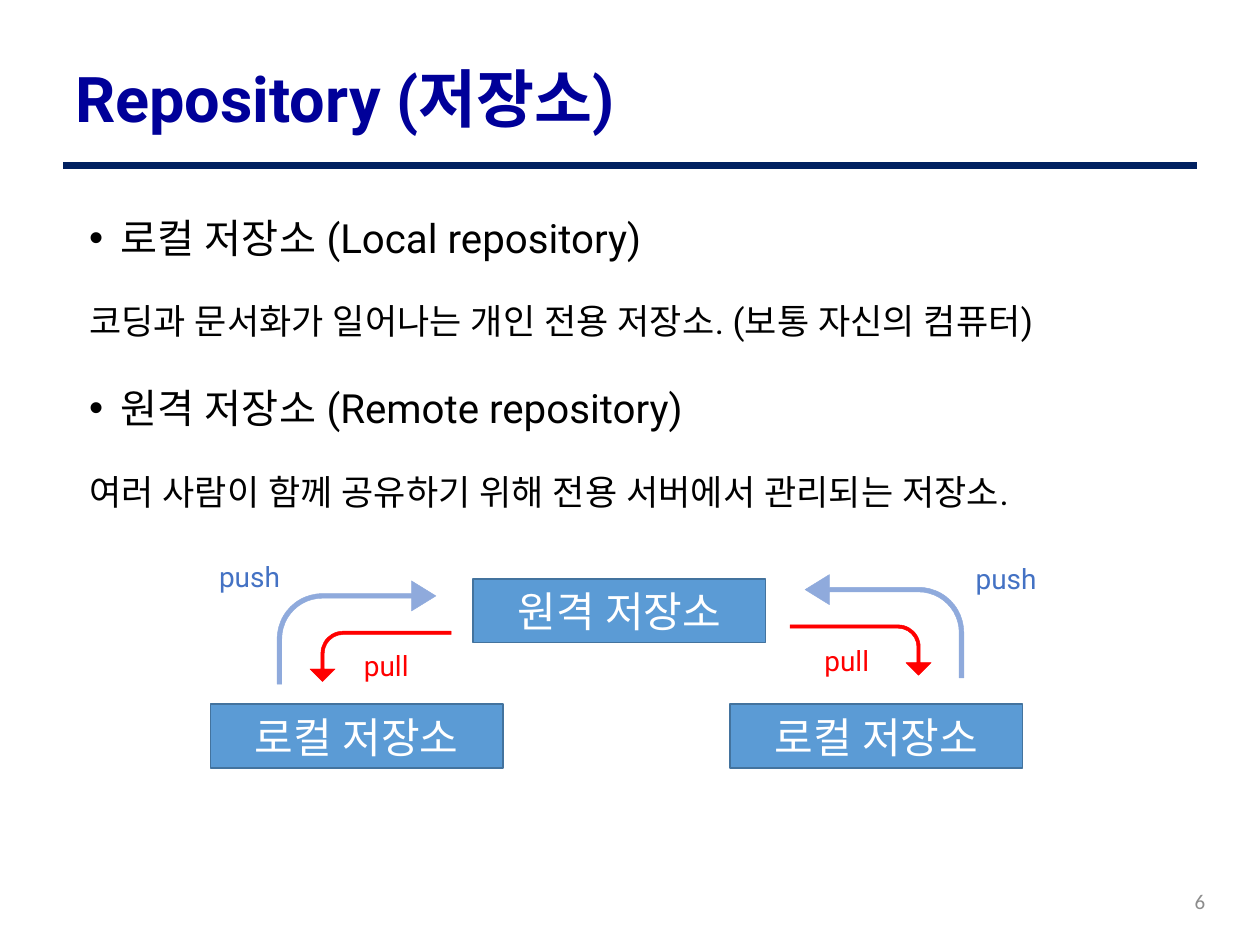
import pptx
import pptx.util
import pptx.dml.color
import pptx.enum.shapes
import pptx.enum.text
import pptx.oxml.ns

SHAPE = pptx.enum.shapes.MSO_SHAPE
ALIGN = pptx.enum.text.PP_ALIGN
ANCHOR = pptx.enum.text.MSO_ANCHOR
RGB = pptx.dml.color.RGBColor.from_string
Pt = pptx.util.Pt
qn = pptx.oxml.ns.qn
COLORS = {
    "rule": "002060", "title": "000099", "body": "000000", "number": "8C8C8C",
    "box": "5B9BD5", "edge": "43739E", "on_box": "FFFFFF",
    "push": "8FAADC", "push_label": "4472C4", "pull": "FF0000",
}

prs = pptx.Presentation()
prs.slide_width = pptx.util.Inches(10)
prs.slide_height = pptx.util.Inches(7.5)
s = prs.slides.add_slide(prs.slide_layouts[6])

# Grid of 100 columns by 75 rows
COL, ROW = prs.slide_width // 100, prs.slide_height // 75


def grid(x, y, w, h):
    """Turn columns and rows into left, top, width and height."""
    return [round(n) for n in (x * COL, y * ROW, w * COL, h * ROW)]


def write(p, text, size, color, font="Roboto", bold=False, align=ALIGN.LEFT,
          spacing=None, before=None, bullet=False):
    p.alignment = align
    p.line_spacing = spacing
    p.space_before = before
    if bullet:
        pPr = p._p.get_or_add_pPr()
        pPr.set("marL", str(round(2.5 * COL)))
        pPr.set("indent", str(round(-2.5 * COL)))
        for tag, key, value in (("a:buFont", "typeface", "Arial"), ("a:buChar", "char", "•")):
            pPr.append(pPr.makeelement(qn(tag), {key: value}))
    r = p.add_run()
    r.text = text
    r.font.size = Pt(size)
    r.font.name = font
    r.font.bold = bold
    r.font.color.rgb = RGB(COLORS[color])
    rPr = r._r.get_or_add_rPr()
    rPr.append(rPr.makeelement(qn("a:ea"), {"typeface": "Roboto"}))


# Rule under the title
x, y, w, _ = grid(5, 13.15, 90, 0)
rule = s.shapes.add_connector(pptx.enum.shapes.MSO_CONNECTOR.STRAIGHT, x, y, x + w, y)
rule.line.color.rgb = RGB(COLORS["rule"])
rule.line.width = Pt(4)
spPr = rule._element.spPr
spPr.append(spPr.makeelement(qn("a:effectLst"), {}))

# Single-line texts: title, page number, arrow labels
for text, area, anchor, style in (
    ("Repository (저장소)", (5, 3, 95, 10.2), ANCHOR.MIDDLE,
     dict(size=36, color="title", bold=True, spacing=0.9)),
    ("6", (70.65, 69.5, 26, 4), ANCHOR.MIDDLE,
     dict(size=12, color="number", font="Calibri", align=ALIGN.RIGHT)),
    ("push", (16.4, 43.9, 7.1, 3.7), ANCHOR.TOP, dict(size=16, color="push_label")),
    ("push", (76.45, 44.05, 7.1, 3.7), ANCHOR.TOP, dict(size=16, color="push_label")),
    ("pull", (64.45, 50.6, 7.1, 3.7), ANCHOR.TOP, dict(size=16, color="pull")),
    ("pull", (27.9, 51, 7.1, 3.7), ANCHOR.TOP, dict(size=16, color="pull")),
):
    tf = s.shapes.add_textbox(*grid(*area)).text_frame
    tf.word_wrap = True
    tf.vertical_anchor = anchor
    write(tf.paragraphs[0], text, **style)

# Definitions: a bulleted term, then its explanation
tf = s.shapes.add_textbox(*grid(6.1, 14.5, 86, 28.6)).text_frame
tf.word_wrap = True
for i, text in enumerate((
    "로컬 저장소 (Local repository)",
    "코딩과 문서화가 일어나는 개인 전용 저장소. (보통 자신의 컴퓨터)",
    "원격 저장소 (Remote repository)",
    "여러 사람이 함께 공유하기 위해 전용 서버에서 관리되는 저장소.",
)):
    is_term = i % 2 == 0
    p = tf.add_paragraph() if i else tf.paragraphs[0]
    write(p, text, 23 if is_term else 20, "body", spacing=1.5, before=Pt(10),
          bullet=is_term)

# Repositories
for text, x, y in (("원격 저장소", 37.55, 45.95), ("로컬 저장소", 16.7, 55.9),
                   ("로컬 저장소", 57.95, 55.9)):
    sp = s.shapes.add_shape(SHAPE.RECTANGLE, *grid(x, y, 23.2, 5.05))
    sp.shadow.inherit = False
    sp.fill.solid()
    sp.fill.fore_color.rgb = RGB(COLORS["box"])
    sp.line.color.rgb = RGB(COLORS["edge"])
    sp.line.width = Pt(1)
    sp.text_frame.vertical_anchor = ANCHOR.MIDDLE
    write(sp.text_frame.paragraphs[0], text, 24, "on_box", font="Noto Sans CJK KR",
          align=ALIGN.CENTER)

# Push and pull arrows, mirrored on the two sides
PUSH_BEND = (0.045, 0.146, 0.236, 0.438)
PULL_BEND = (0.066, 0.25, 0.25, 0.438)
for color, area, bend, rotation, flipped in (
    ("push", (22, 46.1, 12.6, 8.2), PUSH_BEND, 0, False),
    ("pull", (28.2, 46.5, 4, 11.2), PULL_BEND, 270, True),
    ("push", (63.9, 45.6, 12.6, 8.2), PUSH_BEND, 0, True),
    ("pull", (66.3, 46, 4, 11.2), PULL_BEND, 90, False),
):
    sp = s.shapes.add_shape(SHAPE.BENT_ARROW, *grid(*area))
    sp.shadow.inherit = False
    sp.rotation = rotation
    if flipped:
        sp._element.spPr.find(qn("a:xfrm")).set("flipH", "1")
    for i, share in enumerate(bend):
        sp.adjustments[i] = share
    sp.fill.solid()
    sp.fill.fore_color.rgb = RGB(COLORS[color])
    sp.line.color.rgb = RGB(COLORS[color])
    sp.line.width = Pt(0.25)

prs.save("out.pptx")
